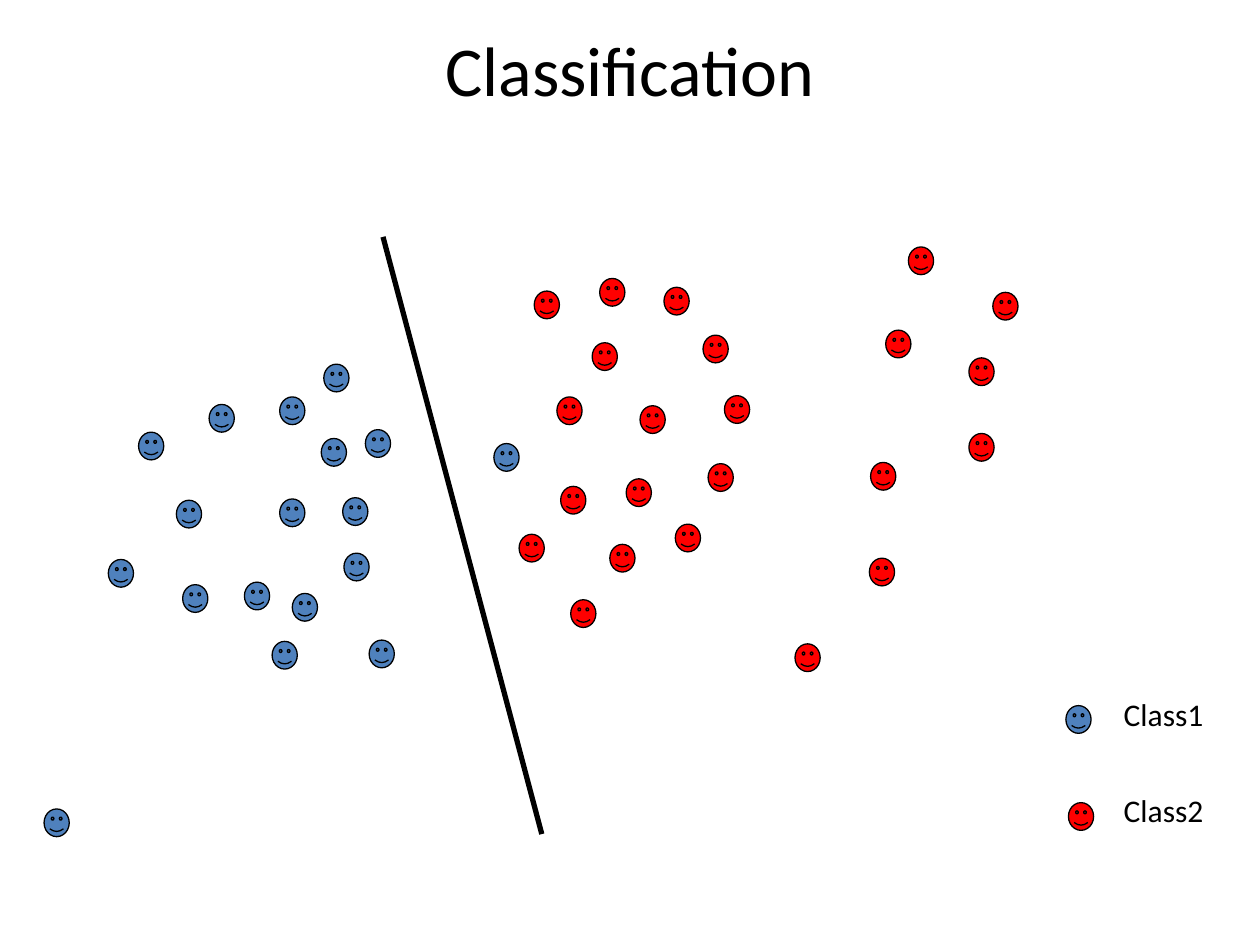
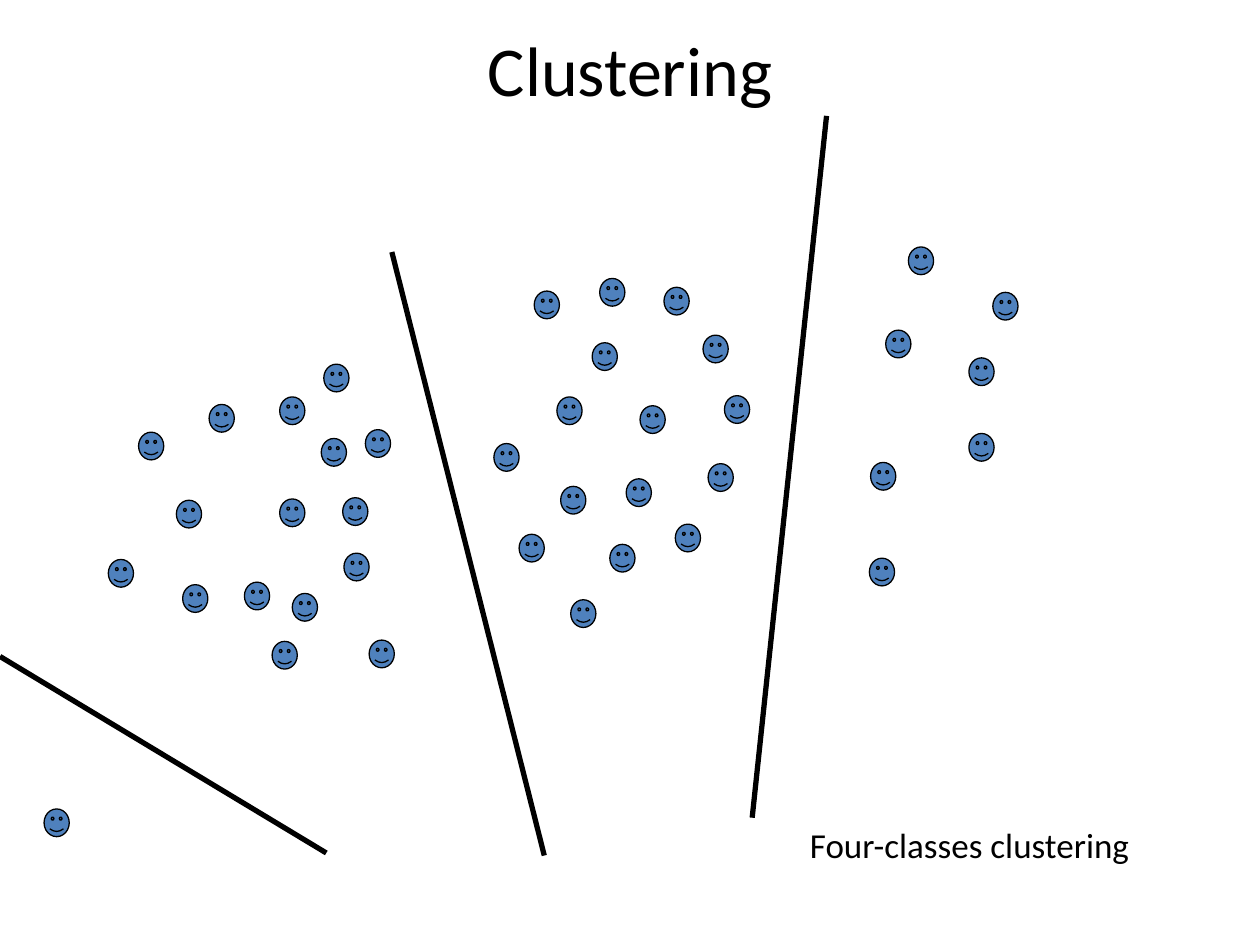
from dataclasses import dataclass

from lxml import etree
from pptx import Presentation
from pptx.dml.color import RGBColor
from pptx.enum import shapes, text
from pptx.oxml import ns
from pptx.slide import Slide
from pptx.util import Inches, Pt

BLACK = RGBColor(0x00, 0x00, 0x00)
BLUE = RGBColor(0x4F, 0x81, 0xBD)
RED = RGBColor(0xFF, 0x00, 0x00)
FONT = "Calibri"
SLIDE_W, SLIDE_H = 10, 7.5
FACE_W, FACE_H = 0.2, 0.22


@dataclass(frozen=True)
class Point:
    x: float
    y: float


@dataclass(frozen=True)
class Boundary:
    start: Point
    end: Point


@dataclass(frozen=True)
class Label:
    words: str
    left: float
    top: float
    width: float
    height: float
    size: int
    align: text.PP_ALIGN = text.PP_ALIGN.LEFT
    anchor: text.MSO_ANCHOR = text.MSO_ANCHOR.TOP


def points(*pairs: tuple[float, float]) -> list[Point]:
    return [Point(x, y) for x, y in pairs]


OUTLIER = points((0.35, 6.42))
LEFT_GROUP = points(
    (1.66, 3.21), (2.22, 3.15), (2.57, 2.89), (1.45, 4.64), (1.4, 3.97),
    (2.9, 3.41), (1.94, 4.62), (0.86, 4.44), (1.1, 3.43), (2.22, 3.96),
    (2.72, 3.95), (2.32, 4.71), (2.73, 4.39), (2.93, 5.08), (2.16, 5.09),
    (2.55, 3.48),
)
STRAY = points((3.92, 3.52))
MIDDLE_GROUP = points(
    (4.12, 4.24), (4.24, 2.31), (4.7, 2.72), (4.76, 2.21), (5.27, 2.28),
    (4.45, 3.86), (4.42, 3.15), (4.97, 3.8), (5.62, 3.68), (5.08, 3.22),
    (5.75, 3.14), (4.84, 4.32), (5.36, 4.16), (5.58, 2.66), (4.53, 4.76),
)
RIGHT_GROUP = points(
    (7.03, 2.62), (7.21, 1.96), (7.69, 3.44), (6.9, 4.43), (7.69, 2.84),
    (6.91, 3.67), (7.88, 2.32),
)
LOWER_RIGHT = points((6.31, 5.11))

CLASS_1 = OUTLIER + LEFT_GROUP + STRAY
CLASS_2 = MIDDLE_GROUP + RIGHT_GROUP


def add_label(s: Slide, label: Label) -> None:
    sp = s.shapes.add_textbox(Inches(label.left), Inches(label.top),
                              Inches(label.width), Inches(label.height))
    tf = sp.text_frame
    tf.word_wrap = True
    tf.vertical_anchor = label.anchor
    tf.text = label.words
    p = tf.paragraphs[0]
    p.alignment = label.align
    font = p.runs[0].font
    font.name, font.size = FONT, Pt(label.size)
    font.color.rgb = BLACK


def add_faces(s: Slide, spots: list[Point], color: RGBColor) -> None:
    for spot in spots:
        sp = s.shapes.add_shape(shapes.MSO_SHAPE.SMILEY_FACE, Inches(spot.x),
                                Inches(spot.y), Inches(FACE_W), Inches(FACE_H))
        sp.shadow.inherit = False
        sp.fill.solid()
        sp.fill.fore_color.rgb = color
        sp.line.color.rgb = BLACK
        sp.line.width = Pt(0.75)


def add_boundary(s: Slide, b: Boundary) -> None:
    line = s.shapes.add_connector(
        shapes.MSO_CONNECTOR.STRAIGHT, Inches(b.start.x), Inches(b.start.y),
        Inches(b.end.x), Inches(b.end.y))
    line.line.color.rgb = BLACK
    line.line.width = Pt(3)
    etree.SubElement(line._element.spPr, ns.qn("a:effectLst"))


def add_titled_slide(prs: Presentation, title: str) -> Slide:
    s = prs.slides.add_slide(prs.slide_layouts[6])
    add_label(s, Label(title, 0, 0, SLIDE_W, 1.08, 40,
                       text.PP_ALIGN.CENTER, text.MSO_ANCHOR.MIDDLE))
    return s


def build_classification(prs: Presentation) -> None:
    s = add_titled_slide(prs, "Classification")
    add_faces(s, points((8.46, 5.6)), BLUE)
    add_faces(s, points((8.48, 6.37)), RED)
    add_label(s, Label("Class1", 8.82, 5.47, 1.18, 0.5, 18))
    add_label(s, Label("Class2", 8.82, 6.23, 1.18, 0.5, 18))
    add_faces(s, CLASS_1, BLUE)
    add_faces(s, CLASS_2 + LOWER_RIGHT, RED)
    add_boundary(s, Boundary(Point(3.04, 1.88), Point(4.3, 6.62)))


def build_clustering(prs: Presentation) -> None:
    s = add_titled_slide(prs, "Clustering")
    add_faces(s, CLASS_1 + CLASS_2, BLUE)
    for b in (
        Boundary(Point(3.11, 2), Point(4.32, 6.79)),
        Boundary(Point(6.56, 0.92), Point(5.97, 6.49)),
        Boundary(Point(0, 5.21), Point(2.59, 6.77)),
    ):
        add_boundary(s, b)
    add_label(s, Label("Four-classes clustering", 6.33, 6.49, 3.17, 0.44, 20))


prs = Presentation()
prs.slide_width, prs.slide_height = Inches(SLIDE_W), Inches(SLIDE_H)
build_classification(prs)
build_clustering(prs)
prs.save("out.pptx")
